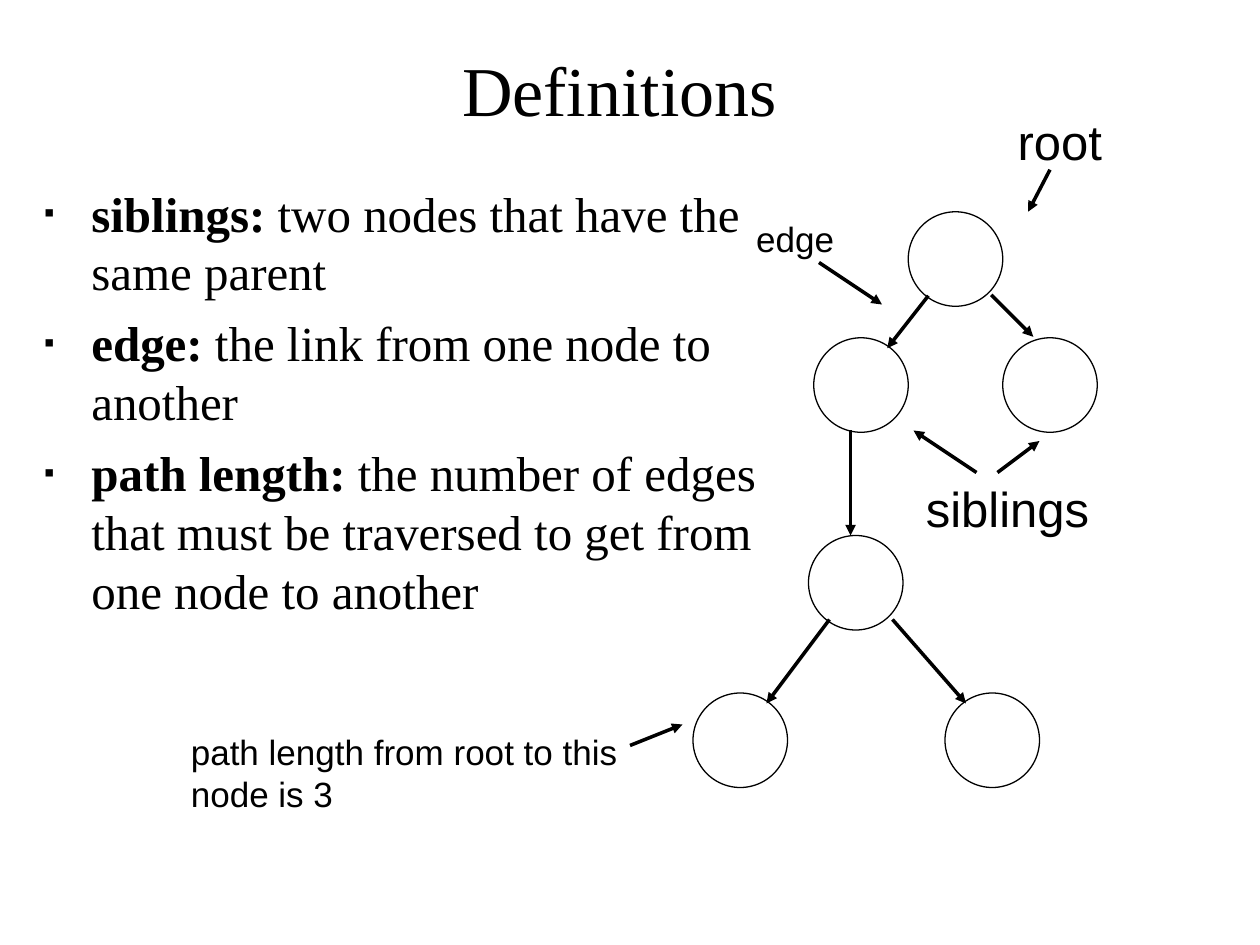
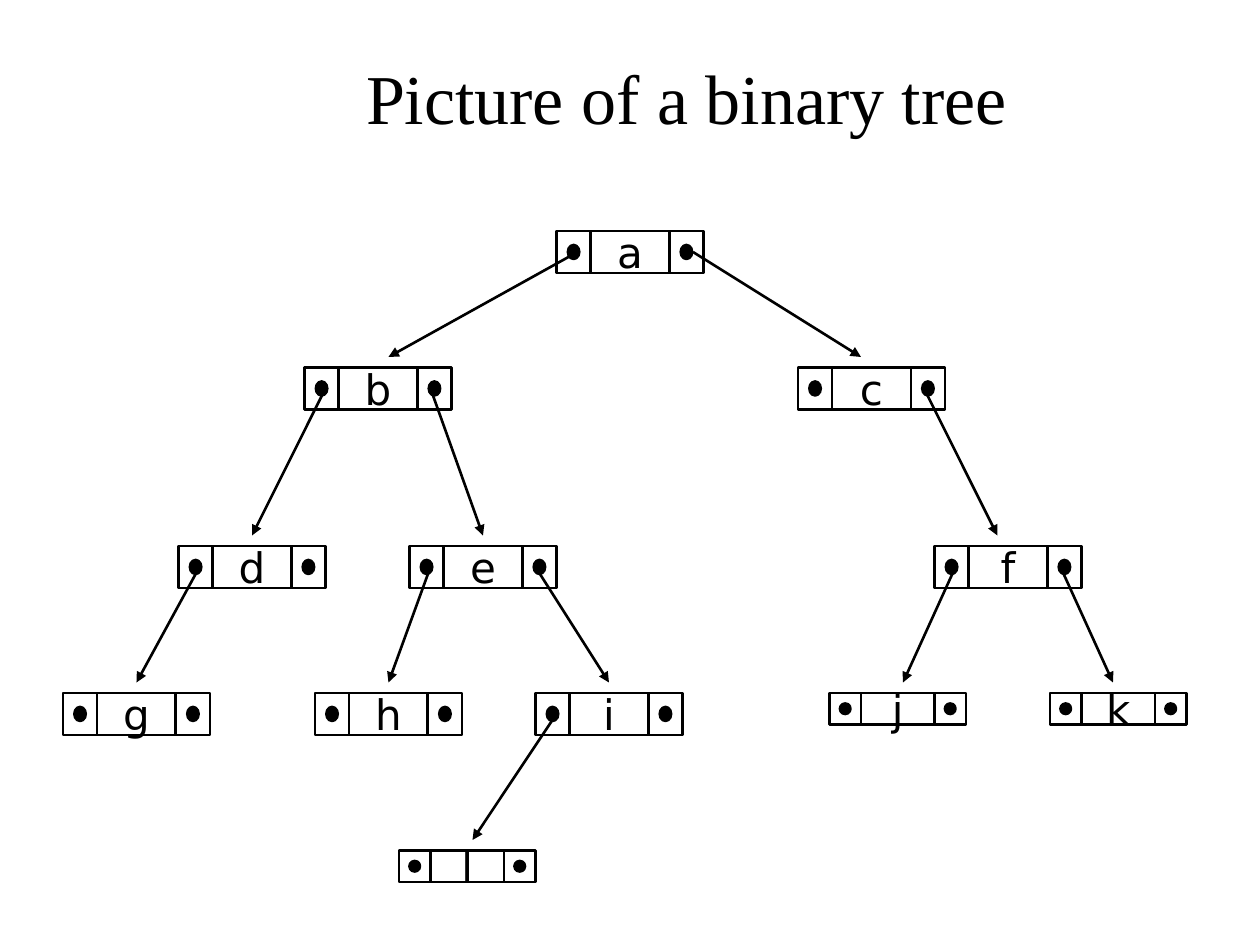
from dataclasses import dataclass

from lxml.etree import SubElement
from pptx import Presentation
from pptx.dml.color import RGBColor
from pptx.enum.shapes import MSO_CONNECTOR, MSO_SHAPE
from pptx.enum.text import MSO_ANCHOR, MSO_AUTO_SIZE, PP_ALIGN
from pptx.oxml.ns import qn
from pptx.util import Pt


@dataclass(frozen=True)
class Theme:
    ink: RGBColor = RGBColor(0, 0, 0)
    paper: RGBColor = RGBColor(255, 255, 255)
    serif: str = "Times New Roman"
    sans: str = "Arial"
    node_font: str = "DejaVu Sans"
    title_size: float = 40
    body_size: float = 28
    label_size: float = 28
    note_size: float = 20
    node_size: float = 24
    thin: float = 0.75
    medium: float = 1.5
    thick: float = 2


THEME = Theme()

DEFINITIONS = [
    ("siblings: ", "two nodes that have the same parent"),
    ("edge: ", "the link from one node to another"),
    ("path length: ", "the number of edges that must be traversed "
                      "to get from one node to another"),
]

# Circles and edges relative to the corner of the example tree
CIRCLE = 54
CIRCLES = [(123, 0), (69, 72), (177, 72), (66, 185), (0, 275), (144, 275)]
CIRCLE_EDGES = [
    (134.5, 48, 111, 78),
    (170.5, 47.5, 194.5, 71.5),
    (90, 125, 90, 185),
    (78, 233, 42, 281),
    (114, 233, 156, 281),
]

# Label text, size, box, and its arrows relative to the corner of that box
CALLOUTS = [
    ("root", THEME.label_size, (574.5, 60, 64, 41), [(25.5, 37, 13, 61)]),
    ("siblings", THEME.label_size, (522, 270, 109, 41),
     [(36, 0, 0, -24), (48, 0, 72, -18)]),
    ("edge", THEME.note_size, (425, 121, 60, 32), [(43, 29, 79, 53)]),
    ("path length from root to this\vnode is 3", THEME.note_size,
     (102, 414, 260, 55), [(258, 12, 288, 0)]),
]

# Pointer cell width, value cell width, height
LARGE = (19.5, 45, 24)
SMALL = (18, 42, 18)
BINARY_NODES = {
    "a": (318, 132, LARGE), "b": (174, 210, LARGE), "c": (456, 210, LARGE),
    "d": (102, 312, LARGE), "e": (234, 312, LARGE), "g": (36, 396, LARGE),
    "h": (180, 396, LARGE), "i": (306, 396, LARGE), "l": (228, 486, SMALL),
    "f": (534, 312, LARGE), "j": (474, 396, SMALL), "k": (600, 396, SMALL),
}

# Parent, start across the parent, child, end across the child
LEFT, RIGHT = 12, 72
LINKS = [
    ("a", LEFT, "b", 48), ("a", RIGHT + 6, "c", 36),
    ("b", LEFT, "d", 42), ("b", RIGHT, "e", 42), ("c", RIGHT, "f", 36),
    ("d", LEFT, "g", 42), ("e", LEFT, "h", 42), ("e", RIGHT, "i", 42),
    ("i", LEFT, "l", 42), ("f", LEFT, "j", 42), ("f", RIGHT, "k", 36),
]
LINK_DROP, LINK_GAP = 12, 6


def place(sp, box):
    sp.left, sp.top, sp.width, sp.height = map(Pt, box)


def style_font(font, name, size, bold=False):
    font.name, font.size, font.bold = name, Pt(size), bold
    font.color.rgb = THEME.ink


def add_outline(shapes, kind, box, weight, filled=False):
    sp = shapes.add_shape(kind, *map(Pt, box))
    sp.shadow.inherit = False
    if filled:
        sp.fill.solid()
        sp.fill.fore_color.rgb = THEME.ink
    else:
        sp.fill.background()
    sp.line.color.rgb = THEME.ink
    sp.line.width = Pt(weight)
    return sp


def add_arrow(shapes, x1, y1, x2, y2, weight):
    cxn = shapes.add_connector(MSO_CONNECTOR.STRAIGHT,
                               Pt(x1), Pt(y1), Pt(x2), Pt(y2))
    cxn.line.color.rgb = THEME.ink
    cxn.line.width = Pt(weight)
    sp_pr = cxn._element.spPr
    SubElement(sp_pr.find(qn("a:ln")), qn("a:tailEnd"), type="triangle")
    SubElement(sp_pr, qn("a:effectLst"))


def add_titled_slide(prs, layout, title, box):
    slide = prs.slides.add_slide(prs.slide_layouts.get_by_name(layout))
    slide.background.fill.solid()
    slide.background.fill.fore_color.rgb = THEME.paper
    place(slide.shapes.title, box)
    tf = slide.shapes.title.text_frame
    tf.text = title
    tf.auto_size = MSO_AUTO_SIZE.NONE
    tf.vertical_anchor = MSO_ANCHOR.BOTTOM
    p = tf.paragraphs[0]
    p.alignment = PP_ALIGN.CENTER
    style_font(p.runs[0].font, THEME.serif, THEME.title_size)
    return slide


def set_bullet(p):
    p_pr = p._p.get_or_add_pPr()
    p_pr.set("marL", str(Pt(27)))
    p_pr.set("indent", str(-Pt(27)))
    color = SubElement(p_pr, qn("a:buClr"))
    SubElement(color, qn("a:srgbClr"), val=str(THEME.ink))
    SubElement(p_pr, qn("a:buSzPct"), val="60000")
    SubElement(p_pr, qn("a:buFont"), typeface=THEME.serif)
    SubElement(p_pr, qn("a:buChar"), char="▪")


def fill_definitions(body, box):
    place(body, box)
    tf = body.text_frame
    tf.auto_size = MSO_AUTO_SIZE.NONE
    for i, (term, meaning) in enumerate(DEFINITIONS):
        p = tf.add_paragraph() if i else tf.paragraphs[0]
        p.space_before = Pt(7 if i else 0)
        set_bullet(p)
        for text, bold in ((term, True), (meaning, False)):
            r = p.add_run()
            r.text = text
            style_font(r.font, THEME.serif, THEME.body_size, bold)


def draw_example_tree(shapes, left, top):
    for x, y in CIRCLES:
        add_outline(shapes, MSO_SHAPE.OVAL,
                    (left + x, top + y, CIRCLE, CIRCLE), THEME.thin)
    for x1, y1, x2, y2 in CIRCLE_EDGES:
        add_arrow(shapes, left + x1, top + y1, left + x2, top + y2, THEME.thick)


def draw_callout(shapes, text, size, box, arrows):
    left, top = box[:2]
    tf = shapes.add_textbox(*map(Pt, box)).text_frame
    tf.word_wrap = False
    tf.auto_size = MSO_AUTO_SIZE.SHAPE_TO_FIT_TEXT
    p = tf.paragraphs[0]
    p.text = text
    for r in p.runs:
        style_font(r.font, THEME.sans, size)
    for x1, y1, x2, y2 in arrows:
        add_arrow(shapes, left + x1, top + y1, left + x2, top + y2, THEME.thick)


def draw_binary_node(shapes, name, left, top, cells):
    """Draw a value cell between two pointer cells with dots a third as large."""
    pointer, value, height = cells
    group = shapes.add_group_shape().shapes
    for x in (left, left + pointer + value):
        add_outline(group, MSO_SHAPE.RECTANGLE,
                    (x, top, pointer, height), THEME.medium)
        add_outline(group, MSO_SHAPE.OVAL,
                    (x + pointer / 3, top + height / 3, pointer / 3, height / 3),
                    THEME.medium, filled=True)
    sp = add_outline(group, MSO_SHAPE.FLOWCHART_PROCESS,
                     (left + pointer, top, value, height), THEME.medium)
    tf = sp.text_frame
    tf.text = name
    tf.word_wrap = False
    tf.vertical_anchor = MSO_ANCHOR.MIDDLE
    p = tf.paragraphs[0]
    p.alignment = PP_ALIGN.CENTER
    style_font(p.runs[0].font, THEME.node_font, THEME.node_size)


def draw_links(shapes):
    for parent, start, child, end in LINKS:
        px, py, _ = BINARY_NODES[parent]
        cx, cy, _ = BINARY_NODES[child]
        add_arrow(shapes, px + start, py + LINK_DROP,
                  cx + end, cy - LINK_GAP, THEME.medium)


def build_definitions(prs):
    slide = add_titled_slide(prs, "Title and Content", "Definitions",
                             (36, -12, 636, 90))
    fill_definitions(slide.placeholders[1], (18, 101, 432, 397))
    draw_example_tree(slide.shapes, 396, 121)
    for callout in CALLOUTS:
        draw_callout(slide.shapes, *callout)


def build_binary_tree(prs):
    slide = add_titled_slide(prs, "Title Only", "Picture of a binary tree",
                             (124.5, 16.5, 535.5, 66))
    for name, (left, top, cells) in BINARY_NODES.items():
        draw_binary_node(slide.shapes, name, left, top, cells)
    draw_links(slide.shapes)


def main():
    prs = Presentation()
    prs.slide_width, prs.slide_height = Pt(720), Pt(540)
    build_definitions(prs)
    build_binary_tree(prs)
    prs.save("out.pptx")


if __name__ == "__main__":
    main()
